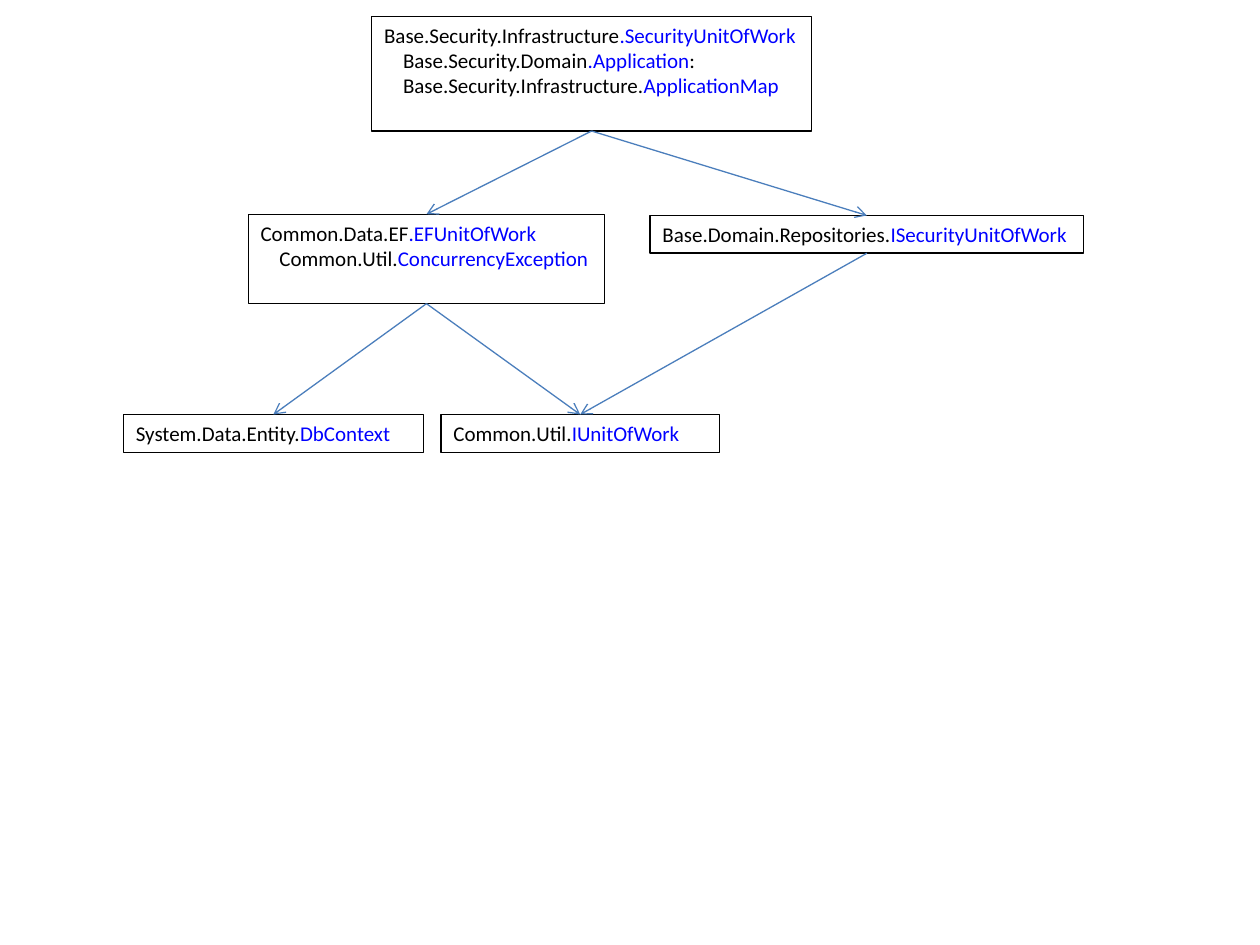
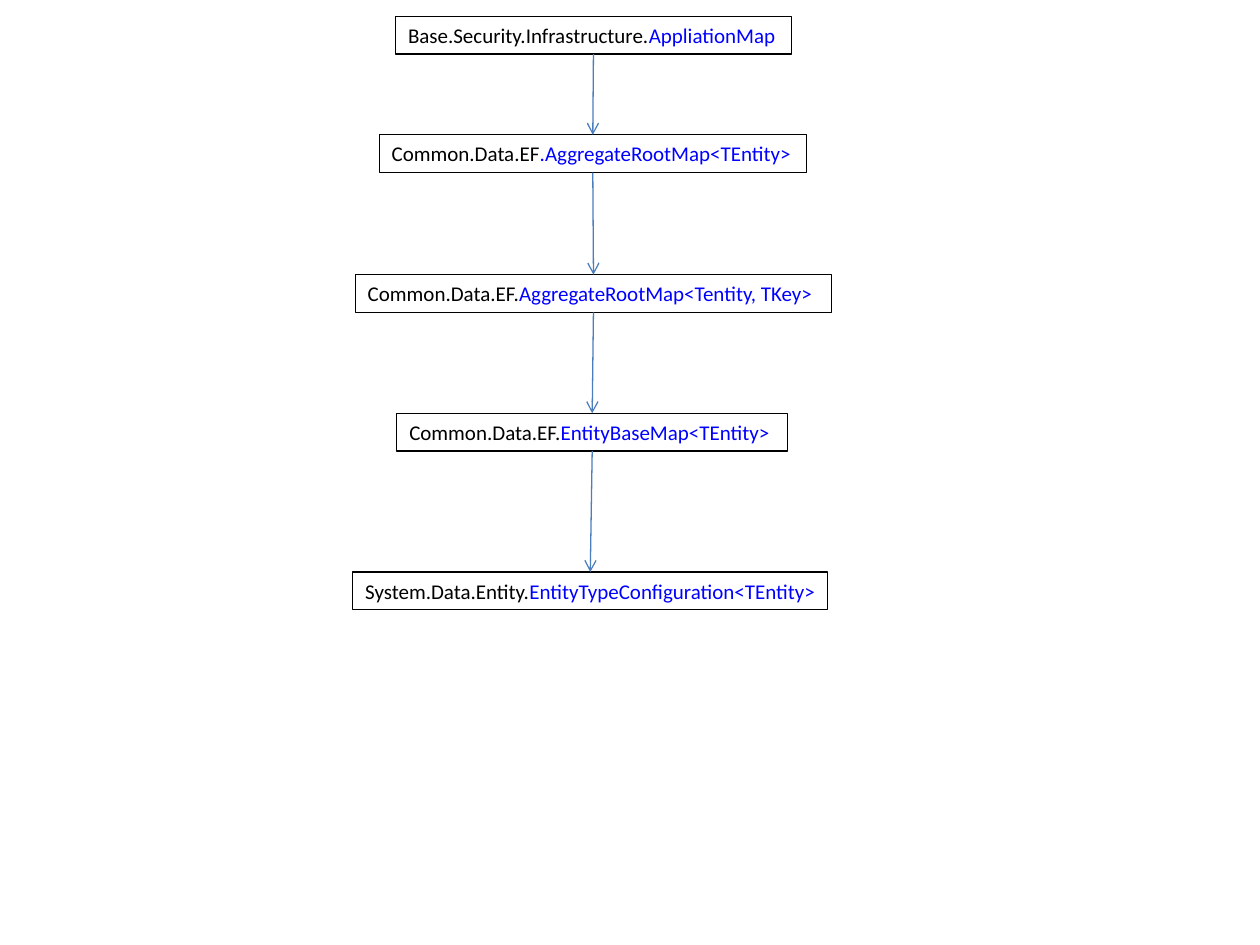
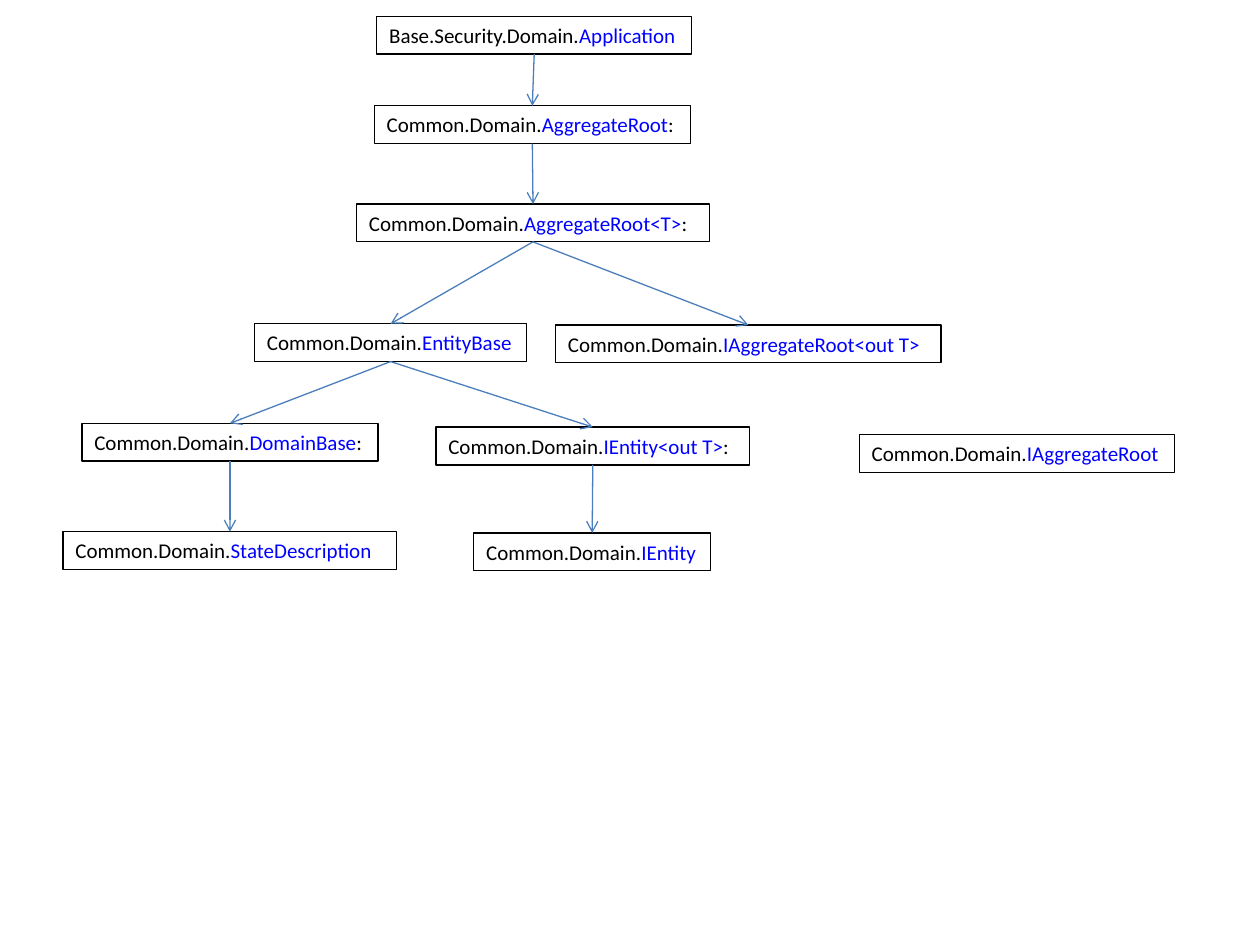
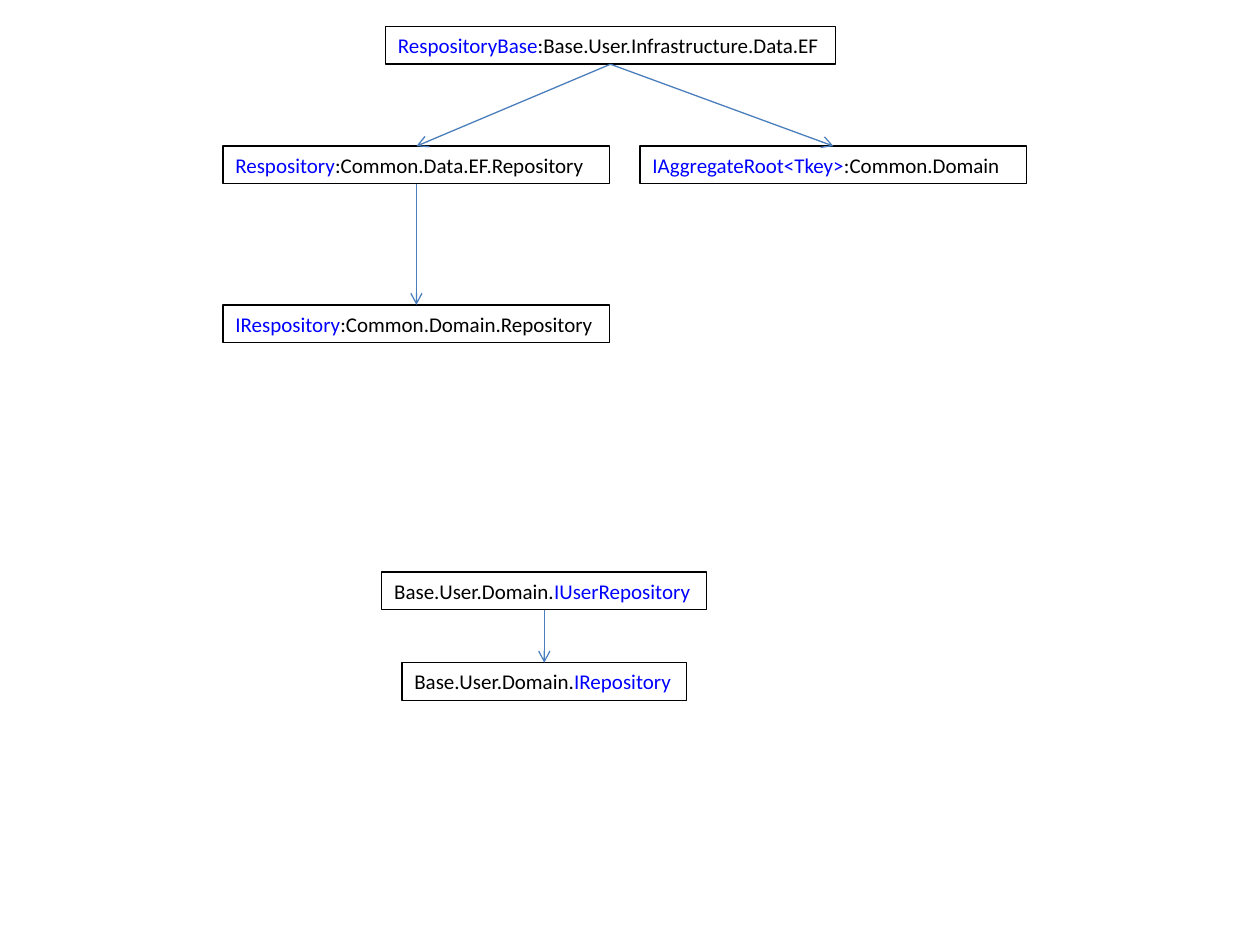
"""Draw four class diagrams: boxes of names joined by arrows."""
from lxml import etree
from pptx import Presentation
from pptx import util as u
from pptx.dml.color import RGBColor
from pptx.enum import shapes, text
from pptx.oxml.ns import qn

BLACK, BLUE, STEEL = "000000", "0000FF", "4B7EBC"
LOW = 0.3


def paint(item, tone):
    item.rgb = RGBColor.from_string(tone)


# Names between stars are blue; lines after the first are indented.
pages = [
    ([(2.95, 0.13, 3.49, 0.91, "Base.Security.Infrastructure*.SecurityUnitOfWork*\n"
       "Base.Security.Domain*.Application*:\n"
       "Base.Security.Infrastructure.*ApplicationMap*"),
      (5.16, 1.71, 3.44, LOW, "Base.Domain.Repositories.*ISecurityUnitOfWork*"),
      (1.97, 1.7, 2.83, 0.71, "Common.Data.EF*.EFUnitOfWork*\n"
       "Common.Util.*ConcurrencyException*"),
      (0.98, 3.29, 2.38, LOW, "System.Data.Entity.*DbContext*"),
      (3.5, 3.29, 2.21, LOW, "Common.Util.*IUnitOfWork*")],
     [(0, 2), (0, 1), (2, 3), (2, 4), (1, 4)]),
    ([(3.14, 0.13, 3.14, LOW, "Base.Security.Infrastructure.*AppliationMap*"),
      (3.01, 1.07, 3.39, LOW, "Common.Data.EF*.AggregateRootMap<TEntity>*"),
      (2.82, 2.18, 3.78, LOW, "Common.Data.EF.*AggregateRootMap<Tentity, TKey>*"),
      (3.15, 3.28, 3.1, LOW, "Common.Data.EF.*EntityBaseMap<TEntity>*"),
      (2.8, 4.54, 3.77, LOW, "System.Data.Entity.*EntityTypeConfiguration<TEntity>*")],
     [(0, 1), (1, 2), (2, 3), (3, 4)]),
    ([(2.99, 0.13, 2.5, LOW, "Base.Security.Domain.*Application*"),
      (2.97, 0.84, 2.51, LOW, "Common.Domain.*AggregateRoot*:"),
      (2.83, 1.62, 2.8, LOW, "Common.Domain.*AggregateRoot<T>*:"),
      (2.02, 2.57, 2.16, LOW, "Common.Domain.*EntityBase*"),
      (4.41, 2.58, 3.06, LOW, "Common.Domain.*IAggregateRoot<out T>*"),
      (6.82, 3.45, 2.5, LOW, "Common.Domain.*IAggregateRoot*"),
      (0.65, 3.36, 2.35, LOW, "Common.Domain.*DomainBase*:"),
      (3.46, 3.39, 2.49, LOW, "Common.Domain.*IEntity<out T>*:"),
      (0.5, 4.22, 2.65, LOW, "Common.Domain.*StateDescription*"),
      (3.76, 4.23, 1.88, LOW, "Common.Domain.*IEntity*")],
     [(0, 1), (1, 2), (2, 3), (2, 4), (3, 6), (6, 8), (3, 7), (7, 9)]),
    ([(3.06, 0.21, 3.57, LOW, "*RespositoryBase*:Base.User.Infrastructure.Data.EF"),
      (1.77, 1.16, 3.07, LOW, "*Respository*:Common.Data.EF.Repository"),
      (5.08, 1.16, 3.07, LOW, "*IAggregateRoot<Tkey>*:Common.Domain"),
      (1.77, 2.42, 3.07, LOW, "*IRespository*:Common.Domain.Repository"),
      (3.03, 4.54, 2.58, LOW, "Base.User.Domain.*IUserRepository*"),
      (3.19, 5.26, 2.26, LOW, "Base.User.Domain.*IRepository*")],
     [(0, 1), (4, 5), (0, 2), (1, 3)]),
]

deck = Presentation()
deck.slide_width, deck.slide_height = u.Inches(10), u.Inches(7.5)

for nodes, links in pages:
    slide = deck.slides.add_slide(deck.slide_layouts[6])
    boxes = []
    for *place, label in nodes:
        box = slide.shapes.add_textbox(*map(u.Inches, place))
        paint(box.line.color, BLACK)
        box.line.width = u.Pt(0.75)
        frame = box.text_frame
        frame.word_wrap = True
        frame.auto_size = text.MSO_AUTO_SIZE.NONE
        for row, line in enumerate(label.split("\n")):
            para = frame.add_paragraph() if row else frame.paragraphs[0]
            para.font.name, para.font.size = "Calibri", u.Pt(12)
            if row:
                para._p.get_or_add_pPr().set("marL", str(u.Inches(0.15)))
            for turn, part in enumerate(line.split("*")):
                if part:
                    run = para.add_run()
                    run.text = part
                    paint(run.font.color, BLUE if turn % 2 else BLACK)
        boxes.append(box)
    for start, end in links:
        arrow = slide.shapes.add_connector(shapes.MSO_CONNECTOR.STRAIGHT, 0, 0, 0, 0)
        arrow.begin_connect(boxes[start], 2)
        arrow.end_connect(boxes[end], 0)
        paint(arrow.line.color, STEEL)
        arrow.line.width = u.Pt(0.75)
        etree.SubElement(arrow.line._get_or_add_ln(), qn("a:tailEnd"), type="arrow")
        etree.SubElement(arrow._element.spPr, qn("a:effectLst"))

deck.save("out.pptx")
